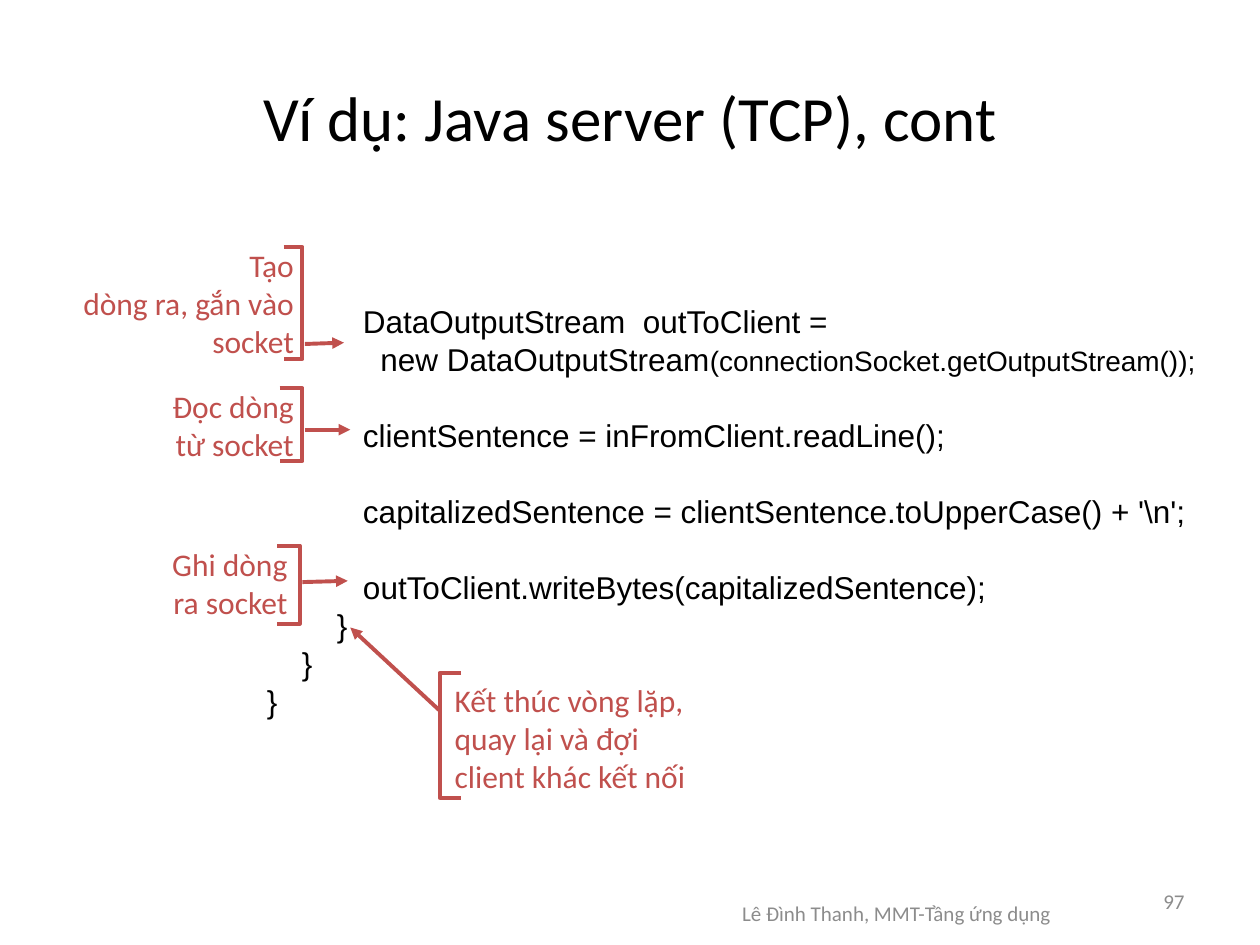
from dataclasses import dataclass

from lxml import etree
from pptx import Presentation
from pptx import util as u
from pptx.dml.color import RGBColor
from pptx.enum import shapes, text
from pptx.oxml import ns

COLS, ROWS = 100, 75
COLORS = {"ink": "000000", "note": "C0504D", "footer": "8C8C8C"}
ALIGN = text.PP_ALIGN
CODE_PITCH = 21.7

prs = Presentation()
prs.slide_width, prs.slide_height = u.Inches(10), u.Inches(7.5)


@dataclass(frozen=True)
class Frame:
    col: float
    row: float
    cols: float
    rows: float


@dataclass(frozen=True)
class Run:
    text: str
    size: float = 18
    font: str = "Calibri"
    color: str = "note"


@dataclass(frozen=True)
class Note:
    frame: Frame
    lines: tuple
    align: ALIGN
    bracket: tuple
    arrow: tuple


@dataclass(frozen=True)
class CodeLine:
    runs: tuple
    blank_before: bool = False


def x(cols: float) -> int:
    return round(prs.slide_width * cols / COLS)


def y(rows: float) -> int:
    return round(prs.slide_height * rows / ROWS)


def add_run(p, run: Run) -> None:
    r = p.add_run()
    r.text = run.text
    r.font.size = u.Pt(run.size)
    r.font.name = run.font
    r.font.color.rgb = RGBColor.from_string(COLORS[run.color])


def place(sp, f: Frame) -> None:
    sp.left, sp.top, sp.width, sp.height = x(f.col), y(f.row), x(f.cols), y(f.rows)


def add_text(s, f: Frame, lines, align=ALIGN.LEFT, anchor=text.MSO_ANCHOR.MIDDLE) -> list:
    sp = s.shapes.add_textbox(x(f.col), y(f.row), x(f.cols), y(f.rows))
    tf = sp.text_frame
    tf.word_wrap = True
    tf.vertical_anchor = anchor
    paragraphs = []
    for i, runs in enumerate(lines):
        p = tf.add_paragraph() if i else tf.paragraphs[0]
        p.alignment = align
        for run in runs:
            add_run(p, run)
        paragraphs.append(p)
    return paragraphs


def style_line(sp) -> None:
    sp.line.color.rgb = RGBColor.from_string(COLORS["note"])
    sp.line.width = u.Pt(2.25)


def add_bracket(s, tips: tuple) -> None:
    tip, spine, top, bottom = tips
    fb = s.shapes.build_freeform(x(tip), y(top))
    corners = [(spine, top), (spine, bottom), (tip, bottom)]
    fb.add_line_segments([(x(c), y(r)) for c, r in corners], close=False)
    sp = fb.convert_to_shape()
    sp.shadow.inherit = False
    sp.fill.background()
    style_line(sp)


def add_arrow(s, ends: tuple) -> None:
    x1, y1, x2, y2 = ends
    sp = s.shapes.add_connector(shapes.MSO_CONNECTOR.STRAIGHT, x(x1), y(y1), x(x2), y(y2))
    style_line(sp)
    etree.SubElement(sp.line._get_or_add_ln(), ns.qn("a:tailEnd"), type="triangle")
    etree.SubElement(sp._element.spPr, ns.qn("a:effectLst"))


def add_note(s, note: Note) -> None:
    add_text(s, note.frame, [(Run(line),) for line in note.lines], note.align)
    add_bracket(s, note.bracket)
    add_arrow(s, note.arrow)


def code(line: str, size: float = 18) -> Run:
    return Run(line, size, "Arial", "ink")


def add_code(s, f: Frame, lines: list) -> None:
    paragraphs = add_text(s, f, [line.runs for line in lines], anchor=text.MSO_ANCHOR.TOP)
    for p, line in zip(paragraphs, lines):
        p.line_spacing = u.Pt(CODE_PITCH)
        if line.blank_before:
            p.space_before = u.Pt(CODE_PITCH)


CODE = [
    CodeLine((code("           DataOutputStream  outToClient ="),)),
    CodeLine((code("             new DataOutputStream"),
              code("(connectionSocket.getOutputStream());", 16))),
    CodeLine((code("           clientSentence = inFromClient.readLine();"),), True),
    CodeLine((code("           capitalizedSentence = clientSentence.toUpperCase() + '\\n';"),), True),
    CodeLine((code("           outToClient.writeBytes(capitalizedSentence);"),), True),
    CodeLine((code("        }"),)),
    CodeLine((code("    }"),)),
    CodeLine((code("}"),)),
]

NOTES = [
    Note(Frame(1.4, 19, 22.9, 10.1), ("Tạo", "dòng ra, gắn vào", "socket"), ALIGN.RIGHT,
         (22.5, 24, 19.6, 28.5), (24.2, 27.3, 27.3, 27.2)),
    Note(Frame(11.1, 30.2, 13.2, 7.1), ("Đọc dòng", "từ socket"), ALIGN.RIGHT,
         (22.2, 24, 30.8, 36.6), (24.2, 34.1, 27.8, 34.1)),
    Note(Frame(10.6, 42.7, 13.2, 7.1), ("Ghi dòng", "ra socket"), ALIGN.RIGHT,
         (22, 23.8, 43.3, 49.5), (24, 46.2, 27.6, 46.1)),
    Note(Frame(35.1, 53.5, 23.2, 10.1),
         ("Kết thúc vòng lặp,", "quay lại và đợi", "client khác kết nối"), ALIGN.LEFT,
         (36.6, 34.9, 53.4, 63.3), (34.9, 56.4, 27.8, 49.8)),
]


def main() -> None:
    s = prs.slides.add_slide(prs.slide_layouts[5])
    title = s.shapes.title
    place(title, Frame(5, 3, 90, 12.5))
    title.text_frame.vertical_anchor = text.MSO_ANCHOR.MIDDLE
    p = title.text_frame.paragraphs[0]
    p.alignment = ALIGN.CENTER
    add_run(p, Run("Ví dụ: Java server (TCP), cont", 36, color="ink"))

    add_text(s, Frame(51.5, 70, 39.3, 5),
             [(Run("Lê Đình Thanh, MMT-Tầng ứng dụng", 12, color="footer"),)], ALIGN.CENTER)
    add_text(s, Frame(71.7, 69.5, 23.3, 4), [(Run("97", 12, color="footer"),)], ALIGN.RIGHT)
    add_code(s, Frame(20.2, 23.5, 78, 34.2), CODE)
    for note in NOTES:
        add_note(s, note)
    prs.save("out.pptx")


if __name__ == "__main__":
    main()
